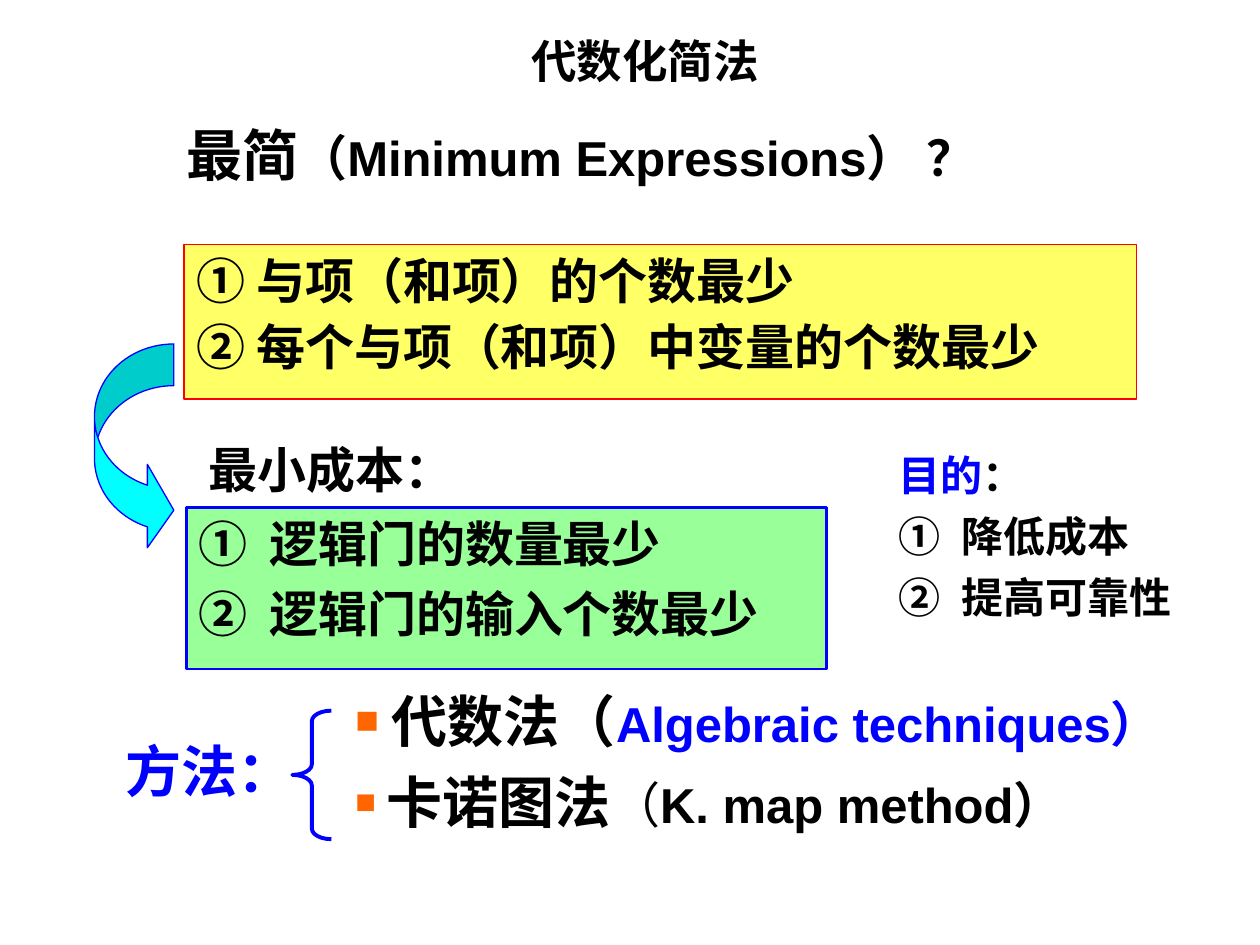
"""Build the slide on minimum expressions and the algebraic simplification method."""
from dataclasses import dataclass

from lxml.etree import SubElement
from pptx import Presentation
from pptx.dml.color import RGBColor
from pptx.enum.shapes import MSO_SHAPE
from pptx.enum.text import MSO_ANCHOR, MSO_AUTO_SIZE, PP_ALIGN
from pptx.oxml.ns import qn
from pptx.util import Inches, Pt


@dataclass(frozen=True)
class Theme:
    black: str = "000000"
    blue: str = "0000FF"
    red: str = "FF0000"
    yellow: str = "FFFF66"
    green: str = "99FF99"
    cyan: str = "00FFFF"
    orange: str = "FF6600"
    sans: str = "Arial"
    serif: str = "Times New Roman"
    chinese: str = "Noto Sans CJK SC"
    title: int = 26
    large: int = 32
    medium: int = 28
    small: int = 24


THEME = Theme()


def span(text, size=THEME.medium, color=THEME.black, font=THEME.sans, bold=True):
    return text, size, color, font, bold


TITLE = [[span("代数化简法", THEME.title)]]
QUESTION = [[span("最简", THEME.large), span("（Minimum Expressions） ？")]]
CRITERIA = [
    [span("① 与项（和项）的个数最少")],
    [span("② "), span("每个", font=THEME.serif), span("与项（和项）中变量的个数最少")],
]
COST_LABEL = [[span("最小成本：")]]
COSTS = [[span("①\t逻辑门的数量最少")], [span("②\t逻辑门的输入个数最少")]]
PURPOSE = [
    [span("目的", THEME.small, THEME.blue, THEME.chinese),
     span("：", THEME.small, font=THEME.chinese)],
    [span("降低成本", THEME.small)],
    [span("提高可靠性", THEME.small)],
]
METHOD_LABEL = [[span("方法：", THEME.large, THEME.blue)]]
METHODS = [
    [span(" 代数法（", THEME.large, font=THEME.serif),
     span("Algebraic techniques）", color=THEME.blue)],
    [span(" ", bold=False), span("卡诺图法", THEME.large, font=THEME.serif),
     span("（", bold=False), span("K. map method）")],
]


def place(shape, box):
    shape.left, shape.top, shape.width, shape.height = map(Inches, box)


def set_indent(paragraph, hanging):
    properties = paragraph._p.get_or_add_pPr()
    properties.set("marL", str(Inches(hanging)))
    properties.set("indent", str(-Inches(hanging)))
    return properties


def add_square_bullet(paragraph):
    properties = paragraph._p.get_or_add_pPr()
    color = SubElement(properties, qn("a:buClr"))
    SubElement(color, qn("a:srgbClr"), val=THEME.orange)
    SubElement(properties, qn("a:buSzPct"), val="70000")
    SubElement(properties, qn("a:buChar"), char="■")


def write(shape, lines, align=PP_ALIGN.LEFT, hanging=0, before=0, after=0):
    frame = shape.text_frame
    frame.word_wrap = True
    frame.auto_size = MSO_AUTO_SIZE.NONE
    frame.vertical_anchor = MSO_ANCHOR.TOP
    for index, spans in enumerate(lines):
        paragraph = frame.add_paragraph() if index else frame.paragraphs[0]
        set_indent(paragraph, hanging)
        paragraph.alignment = align
        paragraph.space_before = Pt(before if index else 0)
        paragraph.space_after = Pt(after)
        for text, size, color, font, bold in spans:
            run = paragraph.add_run()
            run.text = text
            run.font.size = Pt(size)
            run.font.bold = bold
            run.font.color.rgb = RGBColor.from_string(color)
            run.font.name = font
            SubElement(run._r.get_or_add_rPr(), qn("a:ea"), typeface=THEME.chinese)
    return frame.paragraphs


def add_text(slide, box, lines, **options):
    return write(slide.shapes.add_textbox(*map(Inches, box)), lines, **options)


def add_shape(slide, kind, box, line, width, fill=None, adjustments=()):
    shape = slide.shapes.add_shape(kind, *map(Inches, box))
    shape.shadow.inherit = False
    if fill:
        shape.fill.solid()
        shape.fill.fore_color.rgb = RGBColor.from_string(fill)
    else:
        shape.fill.background()
    shape.line.color.rgb = RGBColor.from_string(line)
    shape.line.width = Pt(width)
    for index, value in enumerate(adjustments):
        shape.adjustments[index] = value
    return shape


def main():
    presentation = Presentation()
    presentation.slide_width, presentation.slide_height = Inches(10), Inches(7.5)
    slide = presentation.slides.add_slide(presentation.slide_layouts[1])

    title, methods = slide.shapes.title, slide.placeholders[1]
    place(title, (1.22, 0.21, 7.8, 0.53))
    write(title, TITLE, align=PP_ALIGN.CENTER)
    place(methods, (2.72, 5.4, 7.05, 1.45))
    for paragraph in write(methods, METHODS, before=8):
        add_square_bullet(paragraph)

    add_text(slide, (1.38, 0.91, 6.67, 0.64), QUESTION)
    criteria = add_shape(slide, MSO_SHAPE.RECTANGLE, (1.46, 1.94, 7.56, 1.23),
                         THEME.red, 1, THEME.yellow)
    write(criteria, CRITERIA, align=PP_ALIGN.JUSTIFY, hanging=0.49, after=4)

    add_text(slide, (1.56, 3.44, 3.52, 0.57), COST_LABEL)
    costs = add_shape(slide, MSO_SHAPE.RECTANGLE, (1.48, 4.03, 5.08, 1.28),
                      THEME.blue, 1.5, THEME.green)
    write(costs, COSTS, hanging=0.56, before=6)
    add_shape(slide, MSO_SHAPE.CURVED_RIGHT_ARROW, (0.75, 2.73, 0.63, 1.65),
              THEME.blue, 0.75, THEME.cyan, (0.525, 1.05, 0.333))

    heading, *goals = add_text(slide, (7.03, 3.52, 2.73, 1.72), PURPOSE,
                               hanging=0.38, before=6)
    for paragraph in goals:
        SubElement(set_indent(paragraph, 0.5), qn("a:buAutoNum"), type="circleNumDbPlain")

    add_text(slide, (0.35, 5.8, 2.08, 0.63), METHOD_LABEL, align=PP_ALIGN.RIGHT)
    add_shape(slide, MSO_SHAPE.LEFT_BRACE, (2.32, 5.64, 0.31, 1.02),
              THEME.blue, 2.25, adjustments=(0.27, 0.5))
    presentation.save("out.pptx")


if __name__ == "__main__":
    main()
